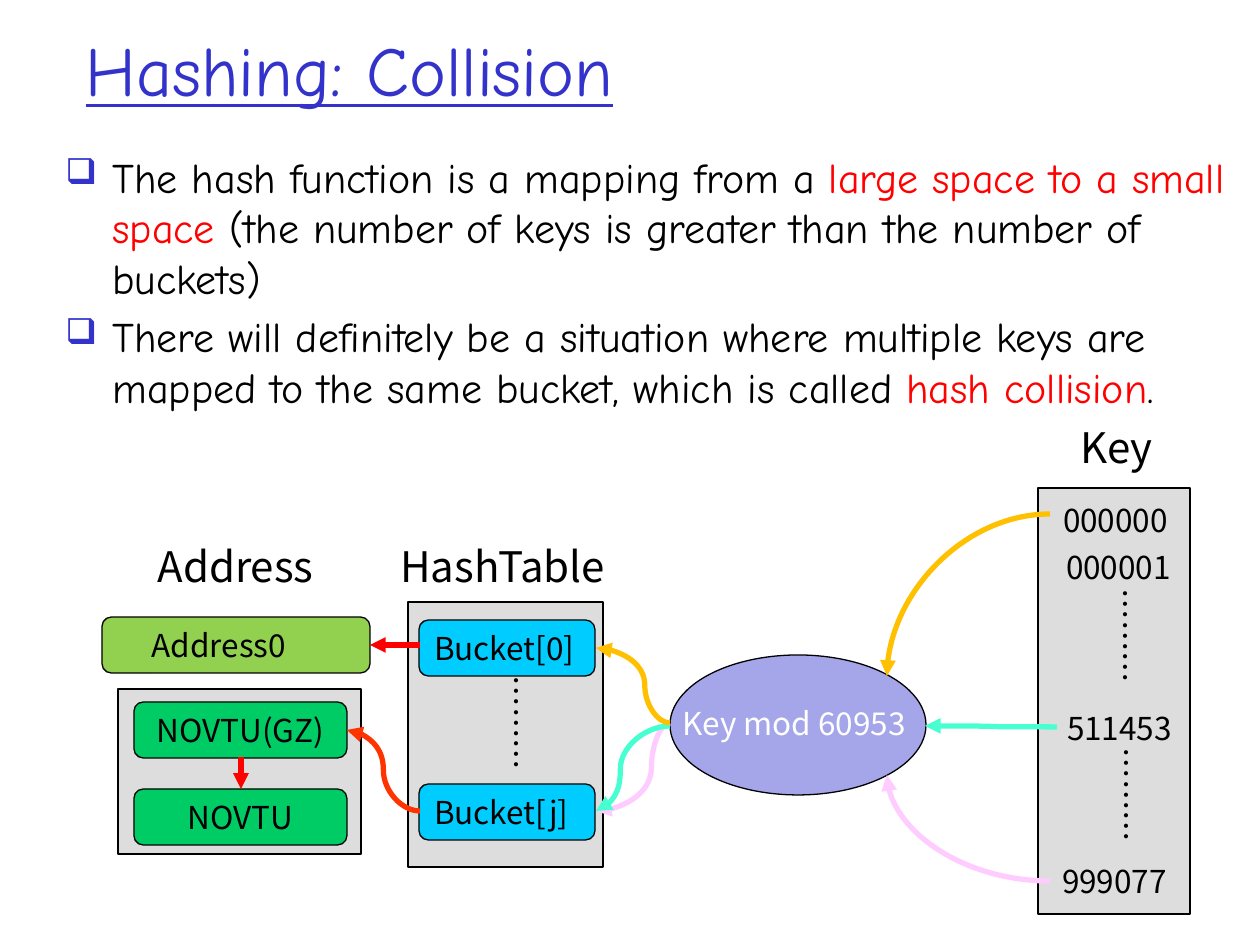
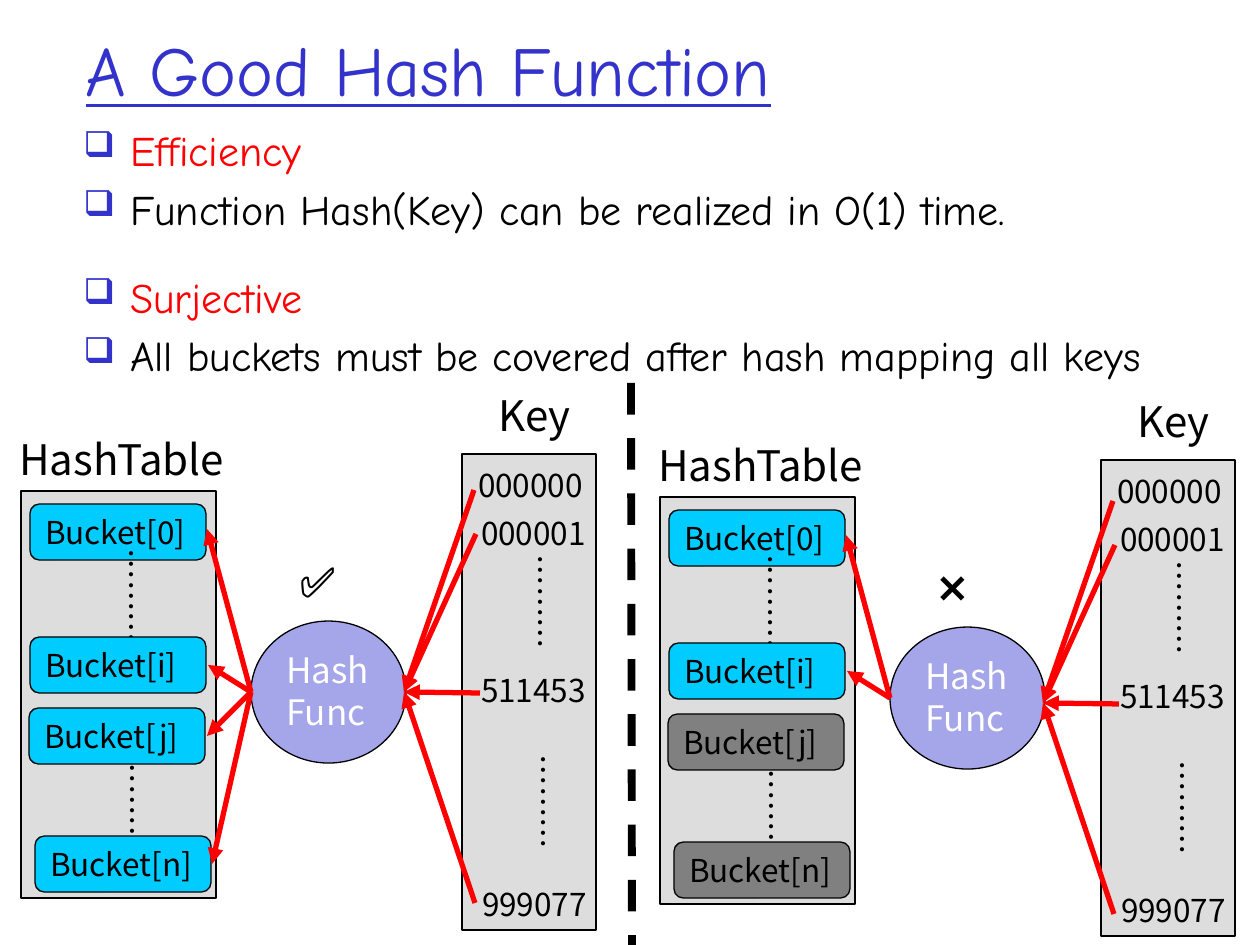
"""Builds two slides about hash collisions and good hash functions."""
from lxml import etree
from pptx import Presentation
from pptx import util as u
from pptx.dml.color import RGBColor
from pptx.enum import dml, shapes, text
from pptx.oxml.ns import qn

PX = 914400 / 126
COLORS = {
    "title": "3333CC", "ink": "000000", "accent": "FF0000", "white": "FFFFFF",
    "panel": "DDDDDD", "bucket": "00CCFF", "unused": "808080", "function": "A5A5E9",
    "address": "92D050", "record": "00CC66", "gold": "FFC000", "pink": "FFCCFF",
    "mint": "47FFD1", "orange": "FF3300",
}
RGB = {name: RGBColor.from_string(value) for name, value in COLORS.items()}
HEAD_FONT, DIAGRAM_FONT, MARK_FONT = "Comic Neue", "Noto Sans CJK JP", "Times New Roman"
RECT, ROUND, OVAL = (shapes.MSO_SHAPE.RECTANGLE, shapes.MSO_SHAPE.ROUNDED_RECTANGLE,
                     shapes.MSO_SHAPE.OVAL)
LEFT, CENTER = text.PP_ALIGN.LEFT, text.PP_ALIGN.CENTER
LABEL_W, LABEL_H, HEADING_H = 285, 50, 63
BUCKET_W, BUCKET_H = 176, 56
DOTS = "………"


def block(slide, box, words="", kind=None, fill=None, size=18, color="ink",
          align=CENTER, font=DIAGRAM_FONT, turn=0):
    """Adds a filled shape, or a plain text box when no kind is given."""
    place = [round(n * PX) for n in box]
    if kind is None:
        item = slide.shapes.add_textbox(*place)
    else:
        item = slide.shapes.add_shape(kind, *place)
        item.shadow.inherit = False
        item.fill.solid()
        item.fill.fore_color.rgb = RGB[fill]
        item.line.color.rgb = RGB["ink"]
        item.line.width = u.Pt(0.75)
    item.rotation = turn
    frame = item.text_frame
    frame.word_wrap = True
    frame.vertical_anchor = text.MSO_ANCHOR.TOP
    if words:
        frame.text = words
        frame.paragraphs[0].alignment = align
        run = frame.paragraphs[0].runs[0]
        run.font.size, run.font.name = u.Pt(size), font
        run.font.color.rgb = RGB[color]
        etree.SubElement(run.font._element, qn("a:ea"), typeface=font)
    return item


def link(slide, start, end, color="accent", bend=None, width=3, arrow=True):
    """Adds a line; bend is a curve's turning point, or "corner" for a quarter turn."""
    kind = shapes.MSO_CONNECTOR.CURVE if bend else shapes.MSO_CONNECTOR.STRAIGHT
    line = slide.shapes.add_connector(kind, *[round(n * PX) for n in start + end])
    line.line.color.rgb = RGB[color]
    line.line.width = u.Pt(width)
    props = line._element.spPr
    etree.SubElement(props, qn("a:effectLst"))
    if arrow:
        etree.SubElement(props.find(qn("a:ln")), qn("a:tailEnd"), type="triangle")
    geometry = props.find(qn("a:prstGeom"))
    if bend == "corner":
        geometry.set("prst", "curvedConnector2")
    elif bend:
        etree.SubElement(geometry.find(qn("a:avLst")), qn("a:gd"),
                         name="adj1", fmla=f"val {round(bend * 100000)}")
    return line


deck = Presentation()
deck.slide_width, deck.slide_height = round(1260 * PX), round(945 * PX)

outlines = [
    ("Hashing: Collision", [
        ((53, 145, 1184, 169), [
            [("The hash function is a mapping from a ", "ink"),
             ("large space to a small space ", "accent"),
             ("(the number of keys is greater than the number of buckets)", "ink")],
            [("There will definitely be a situation where multiple keys are mapped "
              "to the same bucket, which is called ", "ink"),
             ("hash collision", "accent"), (".", "ink")],
        ]),
    ]),
    ("A Good Hash Function", [
        ((71, 118, 1184, 118), [
            [("Efficiency", "accent")],
            [("Function Hash(Key) can be realized in O(1) time.", "ink")],
        ]),
        ((71, 265, 1184, 118), [
            [("Surjective", "accent")],
            [("All buckets must be covered after hash mapping all keys", "ink")],
        ]),
    ]),
]

for heading, bodies in outlines:
    slide = deck.slides.add_slide(deck.slide_layouts[5])
    title = slide.shapes.title
    title.left, title.top, title.width, title.height = [
        round(n * PX) for n in (73, 32, 1071, 74)]
    title.text_frame.text = heading
    title.text_frame.auto_size = text.MSO_AUTO_SIZE.NONE
    title.text_frame.vertical_anchor = text.MSO_ANCHOR.MIDDLE
    title.text_frame.paragraphs[0].alignment = LEFT
    face = title.text_frame.paragraphs[0].runs[0].font
    face.name, face.size, face.underline = HEAD_FONT, u.Pt(40), True
    face.color.rgb = RGB["title"]
    for box, points in bodies:
        frame = block(slide, box).text_frame
        for number, pieces in enumerate(points):
            point = frame.add_paragraph() if number else frame.paragraphs[0]
            point.space_before = u.Pt(4.8)
            props = point._p.get_or_add_pPr()
            props.set("marL", str(round(47 * PX)))
            props.set("indent", str(round(-47 * PX)))
            bullet_color = etree.SubElement(props, qn("a:buClr"))
            etree.SubElement(bullet_color, qn("a:srgbClr"), val=COLORS["title"])
            etree.SubElement(props, qn("a:buSzPct"), val="85000")
            etree.SubElement(props, qn("a:buChar"), char="❑")
            for words, color in pieces:
                run = point.add_run()
                run.text = words
                run.font.name, run.font.size = HEAD_FONT, u.Pt(24)
                run.font.color.rgb = RGB[color]

collision, good_hash = deck.slides

for x, y, words in [(360, 534, "HashTable"), (974, 415, "Key"), (93, 534, "Address")]:
    block(collision, (x, y, LABEL_W, HEADING_H), words, size=24)
for panel in [(408, 602, 195, 265), (1038, 488, 152, 426), (118, 689, 243, 165)]:
    block(collision, panel, kind=RECT, fill="panel")
for y, words in [(620, "Bucket[0]"), (784, "Bucket[j]")]:
    block(collision, (419, y, BUCKET_W, BUCKET_H), words, ROUND, "bucket", align=LEFT)
address = block(collision, (102, 617, 268, BUCKET_H), "Address0", ROUND, "address", align=LEFT)
address.text_frame.margin_left = round(47 * PX)
for y, words in [(702, "NOVTU(GZ)"), (789, "NOVTU")]:
    block(collision, (134, y, 213, BUCKET_H), words, ROUND, "record")
for x, y, words in [(973, 495, "000000"), (976, 542, "000001"),
                    (977, 703, "511453"), (972, 856, "999077")]:
    block(collision, (x, y, LABEL_W, LABEL_H), words)
for x, y in [(375, 698), (984, 611), (985, 770)]:
    block(collision, (x, y, LABEL_W, LABEL_H), DOTS, turn=90)
block(collision, (670, 655, 256, 140), kind=OVAL, fill="function")

for start, end, color, bend in [
    ((420, 645), (370, 645), "accent", None),
    ((241, 757), (241, 789), "accent", None),
    ((1050, 514), (887, 676), "gold", "corner"),
    ((1050, 881), (887, 775), "pink", "corner"),
    ((1057, 727), (925, 726), "mint", 0.5),
    ((670, 723), (596, 811), "pink", 0.25),
    ((670, 726), (596, 811), "mint", 0.67),
    ((670, 723), (596, 648), "gold", 0.34),
    ((420, 811), (347, 730), "orange", 0.5),
]:
    link(collision, start, end, color, bend)
block(collision, (670, 698, 270, LABEL_H), "Key mod 60953", color="white", align=LEFT)

buckets = [(30, 504, "Bucket[0]"), (30, 637, "Bucket[i]"),
           (29, 708, "Bucket[j]"), (35, 836, "Bucket[n]")]
keys = [(388, 460, "000000"), (391, 508, "000001"), (391, 665, "511453"), (392, 879, "999077")]
key_starts = [(474, 490), (476, 534), (480, 693), (475, 903)]
bucket_ends = [(207, 529), (208, 665), (207, 736), (212, 864)]

for dx, dy, key_dy, covered, mark in [(0, 0, 0, 4, "✅"), (639, 6, 11, 2, "❌")]:
    block(good_hash, (21 + dx, 491 + dy, 195, 407), kind=RECT, fill="panel")
    block(good_hash, (462 + dx, 454 + dy, 134, 476), kind=RECT, fill="panel")
    for x, y, words in [(-21, 427, "HashTable"), (392, 383, "Key")]:
        block(good_hash, (x + dx, y + dy, LABEL_W, HEADING_H), words, size=24)
    for number, (x, y, words) in enumerate(buckets):
        fill = "bucket" if number < covered else "unused"
        block(good_hash, (x + dx, y + dy, BUCKET_W, BUCKET_H), words, ROUND, fill, align=LEFT)
        if number == 0:
            for dots_x, dots_y in [(-10, 571), (-9, 775), (399, 577), (402, 777)]:
                block(good_hash, (dots_x + dx, dots_y + dy, LABEL_W, LABEL_H), DOTS, turn=90)
    for x, y, words in keys:
        block(good_hash, (x + dx, y + dy, LABEL_W, LABEL_H), words)
    block(good_hash, (251 + dx, 621 + dy, 155, 142), "Hash Func.", OVAL, "function",
          size=20, color="white", align=LEFT)
    block(good_hash, (287 + dx, 549 + dy, 81, HEADING_H), mark, size=24,
          align=LEFT, font=MARK_FONT)
    for x, y in key_starts:
        link(good_hash, (x + dx, y + key_dy), (404 + dx, 692 + key_dy))
    for x, y in bucket_ends[:covered]:
        link(good_hash, (251 + dx, 692 + dy), (x + dx, y + dy))

divider = link(good_hash, (631, 383), (632, 949), "ink", width=4.5, arrow=False)
divider.line.dash_style = dml.MSO_LINE.DASH

deck.save("out.pptx")
